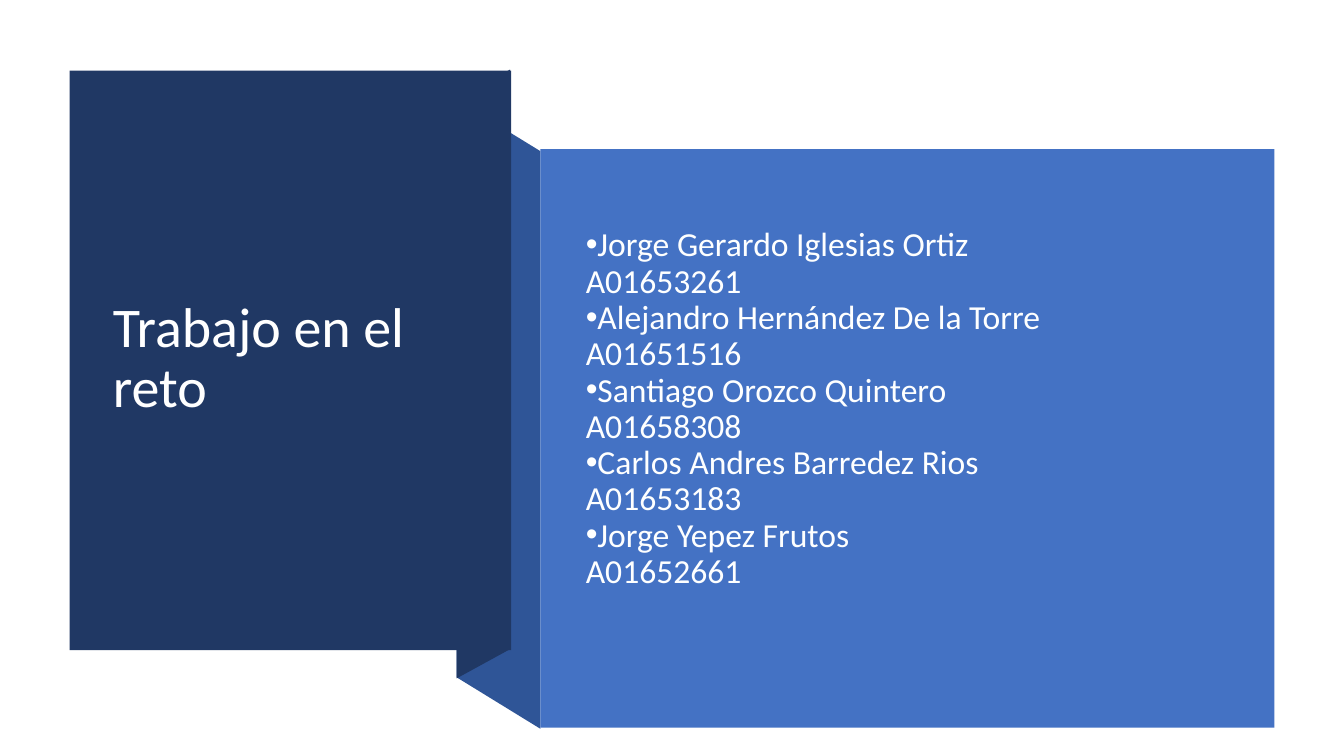
"""Build the team slide with a folded ribbon panel."""
from dataclasses import dataclass

from lxml import etree
from pptx import Presentation
from pptx.dml.color import RGBColor
from pptx.enum.shapes import MSO_SHAPE
from pptx.enum.text import MSO_ANCHOR, MSO_AUTO_SIZE, PP_ALIGN
from pptx.oxml.ns import qn
from pptx.util import Inches, Pt

RECT = MSO_SHAPE.RECTANGLE
MIDDLE = MSO_ANCHOR.MIDDLE
LEFT = PP_ALIGN.LEFT
FIXED = MSO_AUTO_SIZE.NONE


@dataclass(frozen=True)
class Theme:
    """Hold the colours, font and type sizes."""
    navy: str = "203864"
    fold: str = "2F5597"
    blue: str = "4472C4"
    white: str = "FFFFFF"
    pale: str = "FEFFFF"
    font: str = "Calibri"
    title: int = 40
    body: int = 24


THEME = Theme()
TEAM = [
    ("Jorge Gerardo Iglesias Ortiz", "A01653261"),
    ("Alejandro Hernández De la Torre", "A01651516"),
    ("Santiago Orozco Quintero", "A01658308"),
    ("Carlos Andres Barredez Rios", "A01653183"),
    ("Jorge Yepez Frutos", "A01652661"),
]


def paint(shape, color):
    """Give a shape a flat fill with no line or shadow."""
    shape.shadow.inherit = False
    shape.fill.solid()
    shape.fill.fore_color.rgb = RGBColor.from_string(color)
    shape.line.fill.background()


def add_panel(slide, box, color):
    """Add a plain rectangle."""
    paint(slide.shapes.add_shape(RECT, *map(Inches, box)), color)


def add_fold(slide, points, color):
    """Add a closed outline through the points."""
    start, *rest = [(Inches(x), Inches(y)) for x, y in points]
    pen = slide.shapes.build_freeform(*start)
    pen.add_line_segments(rest, close=True)
    paint(pen.convert_to_shape(), color)


def add_bullet(para):
    """Give a paragraph a round bullet with a hanging indent."""
    props = para._p.get_or_add_pPr()
    props.set("marL", "0")
    props.set("indent", str(-Inches(0.25)))
    font = etree.SubElement(props, qn("a:buFont"))
    font.set("typeface", "Arial")
    etree.SubElement(props, qn("a:buChar")).set("char", "•")


def set_text(holder, lines, *, box, size, color, bullet=False):
    """Place a placeholder in front and fill it with formatted lines."""
    holder.left, holder.top, holder.width, holder.height = map(Inches, box)
    tree = holder._element.getparent()
    tree.append(holder._element)
    frame = holder.text_frame
    frame.text = "\n".join(lines)
    frame.word_wrap = True
    frame.auto_size = FIXED
    frame.vertical_anchor = MIDDLE
    for para in frame.paragraphs:
        para.alignment = LEFT
        para.line_spacing = 0.9
        para.space_before = Pt(0)
        if bullet:
            add_bullet(para)
        for run in para.runs:
            run.font.name = THEME.font
            run.font.size = Pt(size)
            run.font.color.rgb = RGBColor.from_string(color)


def main():
    """Build and save the slide."""
    deck = Presentation()
    deck.slide_width, deck.slide_height = Inches(13.33), Inches(7.5)
    slide = deck.slides.add_slide(deck.slide_layouts[0])

    add_fold(slide, [(5.36, 7.23), (4.53, 6.72), (4.53, 0.99), (5.36, 1.5)],
             THEME.fold)
    add_fold(slide, [(5.06, 6.44), (4.53, 6.73), (4.53, 0.98), (5.06, 0.69)],
             THEME.navy)
    add_panel(slide, (0.69, 0.7, 4.38, 5.75), THEME.navy)
    add_panel(slide, (5.36, 1.48, 7.28, 5.74), THEME.blue)

    title, team = slide.placeholders
    set_text(title, ["Trabajo en el reto"], box=(1.02, 1.07, 3.71, 4.99),
             size=THEME.title, color=THEME.white)
    set_text(team, [f"{name}\v{code}" for name, code in TEAM],
             box=(5.71, 1.88, 6.51, 4.36), size=THEME.body,
             color=THEME.pale, bullet=True)
    deck.save("out.pptx")


if __name__ == "__main__":
    main()
